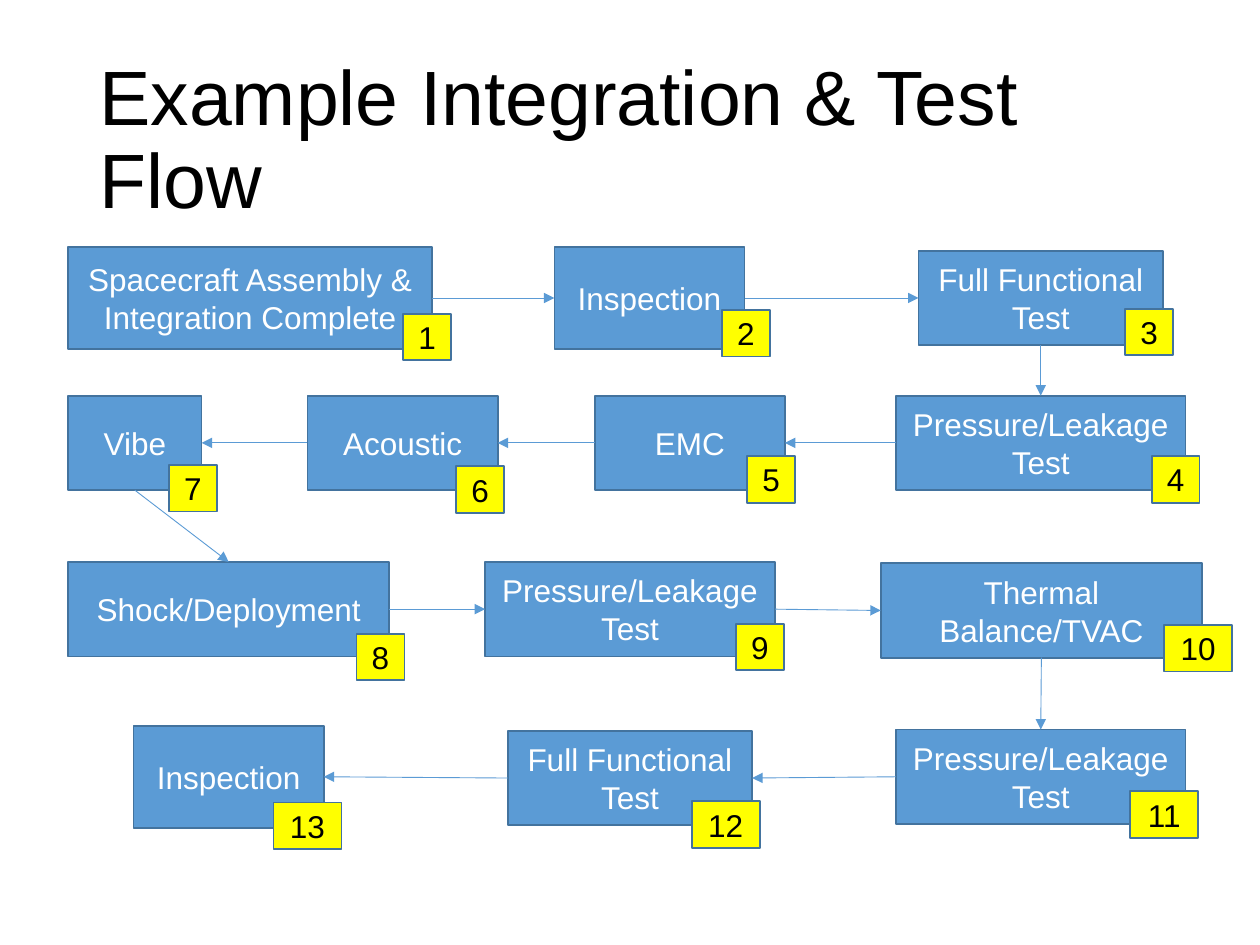
from itertools import pairwise

from lxml import etree
from pptx import Presentation
from pptx import util as u
from pptx.dml.color import RGBColor
from pptx.enum import shapes, text
from pptx.oxml.ns import qn

COLORS = {"box": "5B9BD5", "outline": "43739E", "badge": "FFFF00",
          "light": "FFFFFF", "dark": "000000"}
TOP, LEFT, BOTTOM, RIGHT = range(4)
BADGE_HEIGHT = 0.37

# Each step: label, box (left, top, width, height), badge (left, top),
# and the sides joined by the arrow to the next step
RIGHTWARD, LEFTWARD, DOWNWARD = (RIGHT, LEFT), (LEFT, RIGHT), (BOTTOM, TOP)
STEPS = [
    ("Spacecraft Assembly & Integration Complete",
     (0.54, 1.96, 2.89, 0.81), (3.2, 2.49), RIGHTWARD),
    ("Inspection", (4.4, 1.96, 1.51, 0.81), (5.73, 2.46), RIGHTWARD),
    ("Full Functional Test", (7.29, 1.99, 1.94, 0.75), (8.93, 2.45), DOWNWARD),
    ("Pressure/Leakage Test", (7.11, 3.14, 2.3, 0.75), (9.14, 3.62), LEFTWARD),
    ("EMC", (4.72, 3.14, 1.51, 0.75), (5.93, 3.62), LEFTWARD),
    ("Acoustic", (2.44, 3.14, 1.51, 0.75), (3.62, 3.7), LEFTWARD),
    ("Vibe", (0.54, 3.14, 1.06, 0.75), (1.34, 3.69), DOWNWARD),
    ("Shock/Deployment", (0.54, 4.46, 2.55, 0.75), (2.83, 5.03), RIGHTWARD),
    ("Pressure/Leakage Test", (3.85, 4.46, 2.3, 0.75), (5.84, 4.95), RIGHTWARD),
    ("Thermal Balance/TVAC", (6.99, 4.47, 2.55, 0.75), (9.24, 4.96), DOWNWARD),
    ("Pressure/Leakage Test", (7.11, 5.79, 2.3, 0.75), (8.97, 6.28), LEFTWARD),
    ("Full Functional Test", (4.03, 5.8, 1.94, 0.75), (5.49, 6.36), LEFTWARD),
    ("Inspection", (1.06, 5.76, 1.51, 0.81), (2.17, 6.37), None),
]


class FlowSlide:
    """Holds the slide and the style of its elements."""

    font_name = "Arial"
    title_size = 44
    label_size = 18

    def __init__(self, presentation):
        self.slide = presentation.slides.add_slide(presentation.slide_layouts[6])

    def color(self, name):
        return RGBColor.from_string(COLORS[name])

    def set_text(self, shape, content, size, color, wrap=True, **paragraph_format):
        frame = shape.text_frame
        frame.word_wrap = wrap
        frame.vertical_anchor = text.MSO_ANCHOR.MIDDLE
        paragraph = frame.paragraphs[0]
        paragraph.text = content
        for name, value in paragraph_format.items():
            setattr(paragraph, name, value)
        font_format = {"name": self.font_name, "size": u.Pt(size)}
        for name, value in font_format.items():
            setattr(paragraph.font, name, value)
        paragraph.font.color.rgb = self.color(color)

    def title(self, content, bounds):
        shape = self.slide.shapes.add_textbox(*map(u.Inches, bounds))
        self.set_text(shape, content, self.title_size, "dark", line_spacing=0.9)

    def box(self, content, bounds, fill="box", color="light", wrap=True):
        shape = self.slide.shapes.add_shape(
            shapes.MSO_SHAPE.RECTANGLE, *map(u.Inches, bounds))
        shape.shadow.inherit = False
        shape.fill.solid()
        shape.fill.fore_color.rgb = self.color(fill)
        shape.line.color.rgb = self.color("outline")
        shape.line.width = u.Pt(1)
        self.set_text(shape, content, self.label_size, color, wrap,
                      alignment=text.PP_ALIGN.CENTER)
        return shape

    def badge(self, number, left, top):
        width = 0.38 if number < 10 else 0.54
        self.box(str(number), (left, top, width, BADGE_HEIGHT),
                 "badge", "dark", wrap=False)

    def arrow(self, start, end, sides):
        connector = self.slide.shapes.add_connector(
            shapes.MSO_CONNECTOR.STRAIGHT, 0, 0, 0, 0)
        connector.begin_connect(start, sides[0])
        connector.end_connect(end, sides[1])
        connector.line.color.rgb = self.color("box")
        connector.line.width = u.Pt(0.5)
        # Arrowhead, and no shadow
        line = connector.line._get_or_add_ln()
        etree.SubElement(line, qn("a:tailEnd"), type="triangle")
        etree.SubElement(connector._element.spPr, qn("a:effectLst"))


def main():
    presentation = Presentation()
    presentation.slide_width = u.Inches(10)
    presentation.slide_height = u.Inches(7.5)
    flow = FlowSlide(presentation)

    # Title
    flow.title("Example Integration & Test Flow", (0.69, 0.4, 8.62, 1.45))

    # Step boxes
    boxes = [flow.box(label, bounds) for label, bounds, _, _ in STEPS]

    # Arrows between consecutive steps
    for (start, end), step in zip(pairwise(boxes), STEPS):
        flow.arrow(start, end, step[3])

    # Number badges
    for number, (_, _, corner, _) in enumerate(STEPS, 1):
        flow.badge(number, *corner)

    presentation.save("out.pptx")


if __name__ == "__main__":
    main()
